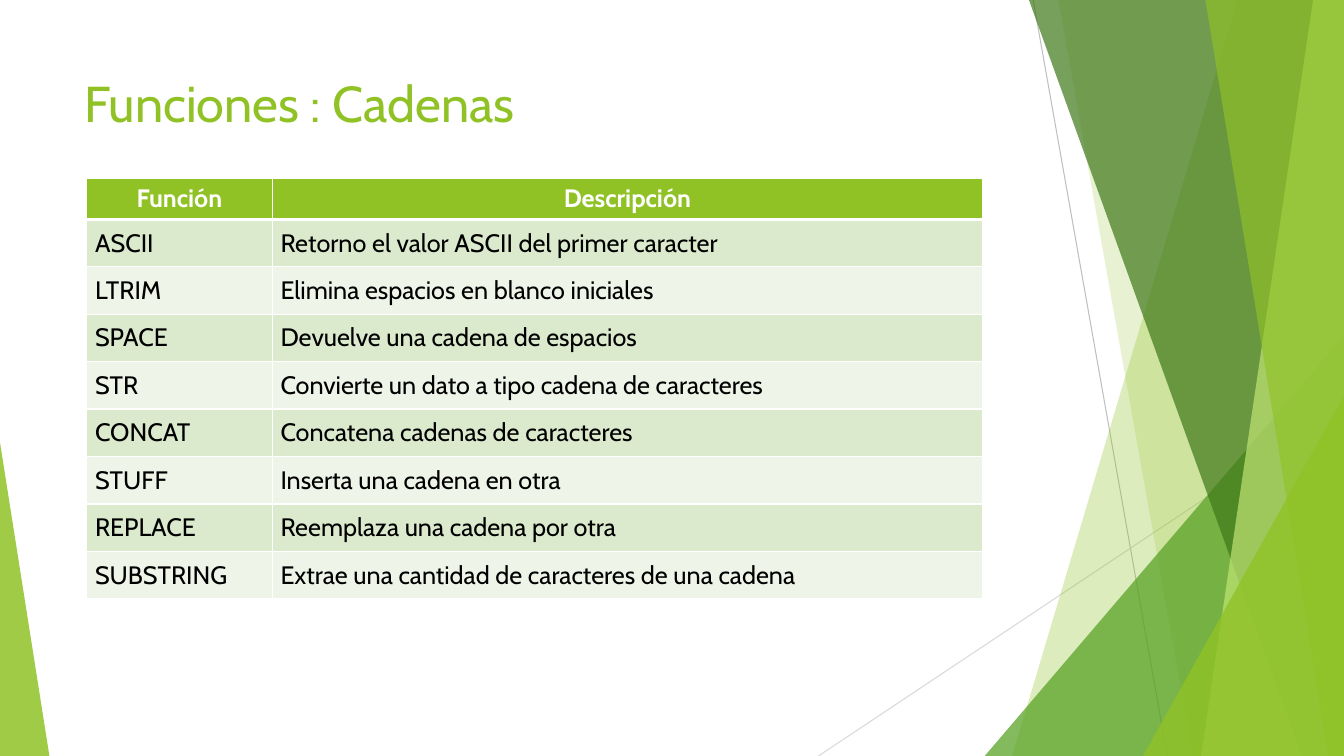
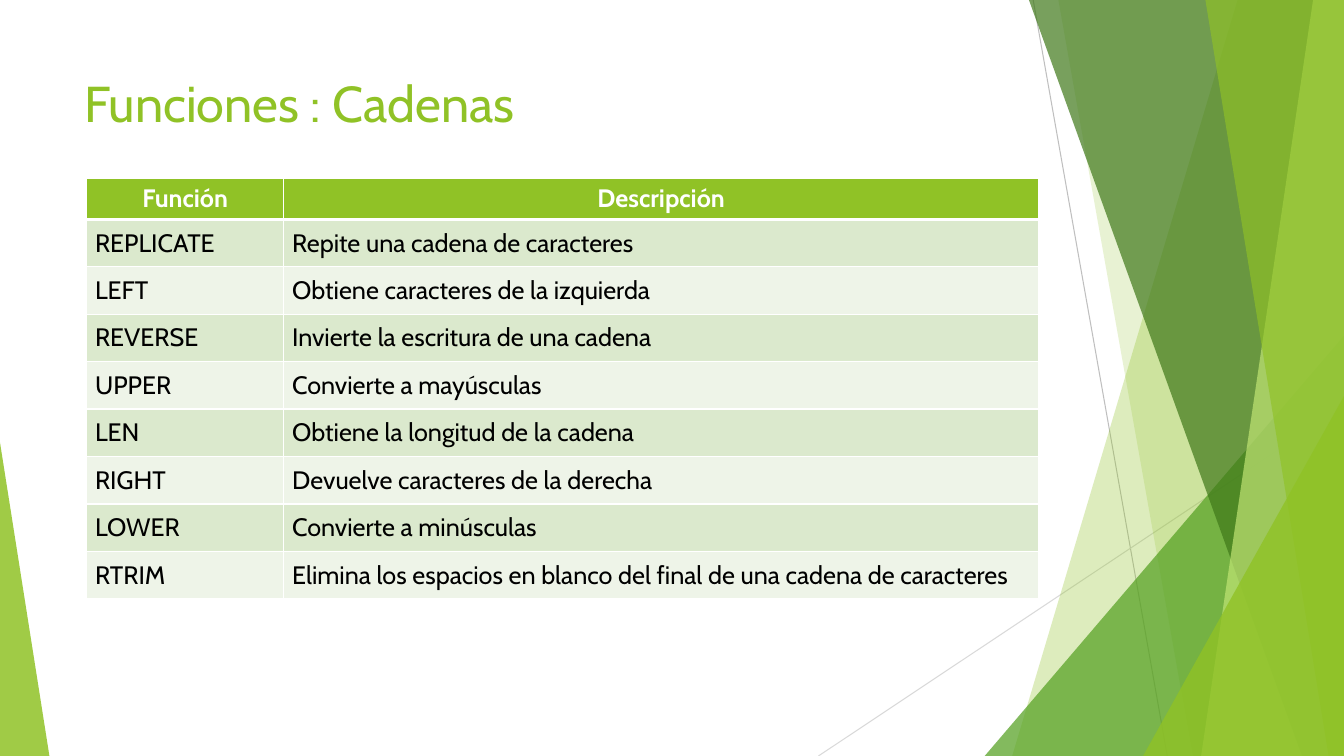
from pptx import Presentation
from pptx.dml.color import RGBColor
from pptx.enum.shapes import MSO_CONNECTOR as Connector, MSO_SHAPE as Shape
from pptx.enum.text import MSO_ANCHOR as Anchor, PP_ALIGN as Align
from pptx.oxml import parse_xml
from pptx.oxml.ns import nsdecls, qn
from pptx.util import Pt

# Content
TITLE = "Funciones : Cadenas"
HEADER = ("Función", "Descripción")
TABLES = [
    {"widths": (132.5, 507.6), "rows": [
        ("ASCII", "Retorno el valor ASCII del primer caracter"),
        ("LTRIM", "Elimina espacios en blanco iniciales"),
        ("SPACE", "Devuelve una cadena de espacios"),
        ("STR", "Convierte un dato a tipo cadena de caracteres"),
        ("CONCAT", "Concatena cadenas de caracteres"),
        ("STUFF", "Inserta una cadena en otra"),
        ("REPLACE", "Reemplaza una cadena por otra"),
        ("SUBSTRING", "Extrae una cantidad de caracteres de una cadena"),
    ]},
    {"widths": (140.8, 539.2), "rows": [
        ("REPLICATE", "Repite una cadena de caracteres"),
        ("LEFT", "Obtiene caracteres de la izquierda"),
        ("REVERSE", "Invierte la escritura de una cadena"),
        ("UPPER", "Convierte a mayúsculas"),
        ("LEN", "Obtiene la longitud de la cadena"),
        ("RIGHT", "Devuelve caracteres de la derecha"),
        ("LOWER", "Convierte a minúsculas"),
        ("RTRIM", "Elimina los espacios en blanco del final de una cadena de caracteres"),
    ]},
]

# Shared style
WIDTH, HEIGHT = 960, 540
GREEN, WHITE, BLACK = "90C226", "FFFFFF", "000000"
BANDS = ("DBE9CD", "EEF4E8")
TITLE_FONT = {"name": "Cabin", "size": Pt(36), "bold": False}
HEADER_FONT = {"name": "Cabin", "size": Pt(18), "bold": True}
BODY_FONT = {**HEADER_FONT, "bold": False}
BODY_MARGINS = {f"margin_{side}": Pt(6) for side in ("left", "top", "right", "bottom")}
TABLE_LEFT, TABLE_TOP = 61.9, 127.5
HEADER_HEIGHT, ROW_HEIGHT = 29.2, 33.9

# Background: lines as (start, end, colour)
LINES = [((738, 0), (833.8, HEIGHT), "BFBFBF"), ((WIDTH, 290), (584.6, HEIGHT), "D9D9D9")]
# Facets, back to front. A band runs from its left edge (top x, bottom x) to
# the right of the slide; a triangle has left, top, width and apex, and sits on the bottom.
FACETS = [
    ("band", (884.2, 722.9), GREEN, 30),
    ("band", (756, 851.8), GREEN, 20),
    ("triangle", (703.4, 239.8, 256.6, 1), "54A021", 72),
    ("band", (735.1, 929.5), "3F7819", 70),
    ("band", (938.2, 858.2), "C0E474", 70),
    ("band", (861.1, 949), GREEN, 65),
    ("triangle", (816.5, 283, 143.5, 1), GREEN, 80),
    ("triangle", (0, 316.1, 35.3, 0), GREEN, 85),
]


def color(value):
    return RGBColor.from_string(value)


def set_values(target, values):
    for name, value in values.items():
        setattr(target, name, value)


def write(text_frame, text, font, font_color, align=Align.LEFT):
    paragraph = text_frame.paragraphs[0]
    paragraph.alignment = align
    run = paragraph.add_run()
    run.text = text
    set_values(run.font, font)
    run.font.color.rgb = color(font_color)


def add_line(slide, start, end, line_color):
    line = slide.shapes.add_connector(Connector.STRAIGHT, *map(Pt, start + end))
    line.line.color.rgb = color(line_color)
    line.line.width = Pt(0.75)
    line._element.spPr.append(parse_xml(f"<a:effectLst {nsdecls('a')}/>"))


def add_facet(slide, kind, geometry, fill_color, opacity):
    if kind == "band":
        top_x, bottom_x = geometry
        builder = slide.shapes.build_freeform(top_x, 0, scale=Pt(1))
        builder.add_line_segments([(WIDTH, 0), (WIDTH, HEIGHT), (bottom_x, HEIGHT)])
        facet = builder.convert_to_shape()
    else:
        left, top, width, apex = geometry
        facet = slide.shapes.add_shape(Shape.ISOSCELES_TRIANGLE, *map(Pt, (left, top, width, HEIGHT - top)))
        facet.adjustments[0] = apex
    facet.shadow.inherit = False
    facet.line.fill.background()
    facet.fill.solid()
    facet.fill.fore_color.rgb = color(fill_color)
    fill = facet._element.spPr.find(f"{qn('a:solidFill')}/{qn('a:srgbClr')}")
    fill.append(parse_xml(f"<a:alpha {nsdecls('a')} val='{opacity * 1000}'/>"))


def add_title(slide):
    box = slide.shapes.add_textbox(Pt(53.3), Pt(48.2), Pt(676.8), Pt(57.6))
    set_values(box.text_frame, {"word_wrap": True, "vertical_anchor": Anchor.TOP})
    write(box.text_frame, TITLE, TITLE_FONT, GREEN)


def style_cell(cell, fill_color, borders):
    properties = cell._tc.get_or_add_tcPr()
    for side, width in borders.items():
        properties.append(parse_xml(
            f"<a:ln{side} {nsdecls('a')} w='{Pt(width)}'><a:solidFill>"
            f"<a:srgbClr val='{WHITE}'/></a:solidFill></a:ln{side}>"))
    cell.fill.solid()
    cell.fill.fore_color.rgb = color(fill_color)


def add_function_table(slide, widths, rows):
    height = HEADER_HEIGHT + ROW_HEIGHT * len(rows)
    table = slide.shapes.add_table(
        len(rows) + 1, len(widths), Pt(TABLE_LEFT), Pt(TABLE_TOP), Pt(sum(widths)), Pt(height)).table
    for column, width in zip(table.columns, widths):
        column.width = Pt(width)
    for row_index, texts in enumerate([HEADER, *rows]):
        is_header = row_index == 0
        table.rows[row_index].height = Pt(HEADER_HEIGHT if is_header else ROW_HEIGHT)
        # The rule under the header is thicker
        borders = {"L": 1, "R": 1, "T": 3 if row_index == 1 else 1, "B": 3 if is_header else 1}
        for column_index, text in enumerate(texts):
            cell = table.cell(row_index, column_index)
            if is_header:
                style_cell(cell, GREEN, borders)
                write(cell.text_frame, text, HEADER_FONT, WHITE, Align.CENTER)
            else:
                style_cell(cell, BANDS[(row_index - 1) % 2], borders)
                set_values(cell, BODY_MARGINS)
                write(cell.text_frame, text, BODY_FONT, BLACK)


def main():
    presentation = Presentation()
    set_values(presentation, {"slide_width": Pt(WIDTH), "slide_height": Pt(HEIGHT)})
    for content in TABLES:
        slide = presentation.slides.add_slide(presentation.slide_layouts[6])
        for line in LINES:
            add_line(slide, *line)
        for facet in FACETS:
            add_facet(slide, *facet)
        add_title(slide)
        add_function_table(slide, **content)
    presentation.save("out.pptx")


if __name__ == "__main__":
    main()
